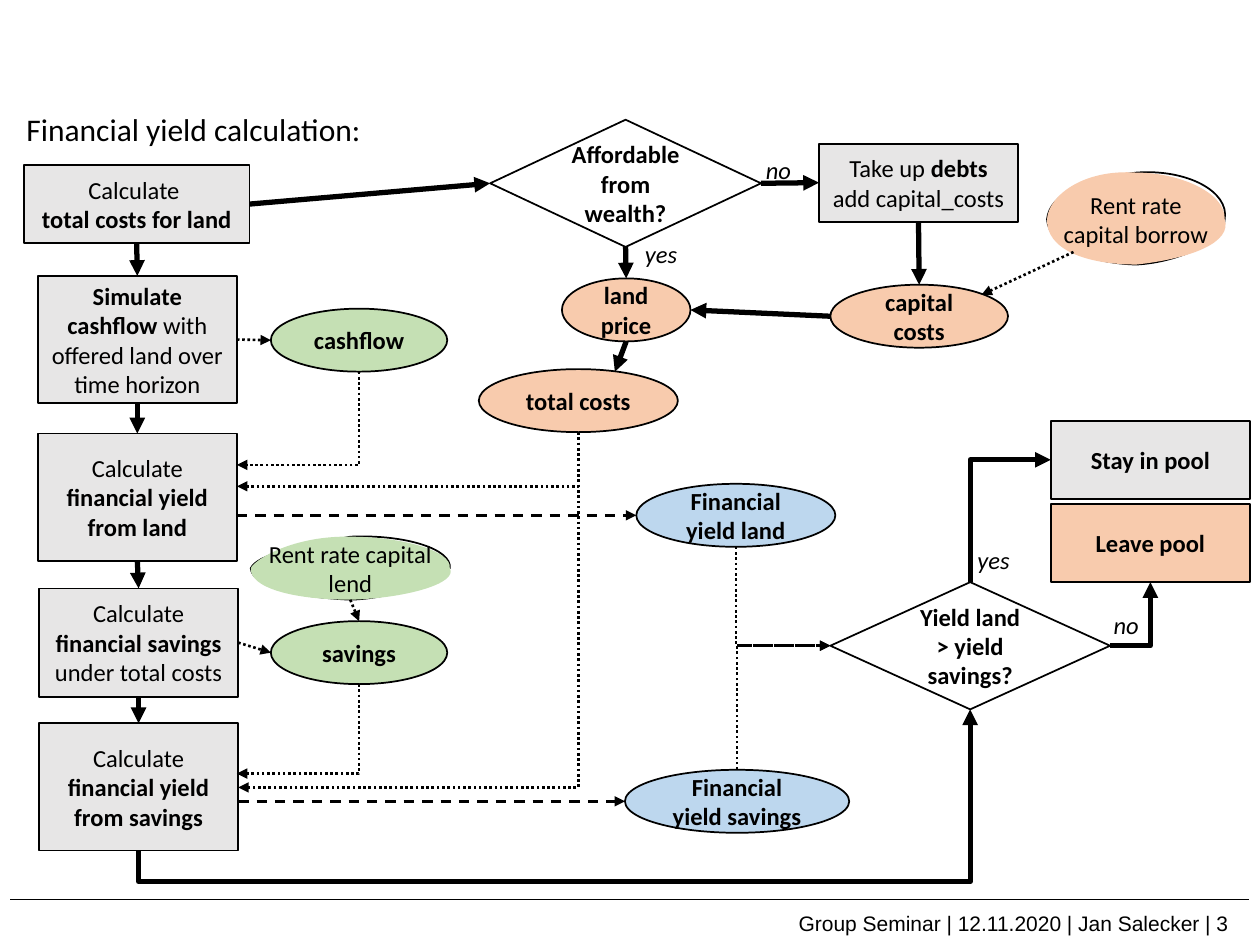
from lxml import etree
from pptx import Presentation
from pptx.dml.color import RGBColor
from pptx.enum.dml import MSO_LINE
from pptx.enum.shapes import MSO_CONNECTOR, MSO_SHAPE
from pptx.enum.text import MSO_ANCHOR, MSO_AUTO_SIZE, PP_ALIGN
from pptx.oxml.ns import qn
from pptx.util import Inches, Pt

COLORS = {"black": "000000", "white": "FFFFFF", "step": "E7E6E6",
          "cost": "F8CBAD", "gain": "C5E0B4", "yield": "BDD7EE"}
RECT, OVAL, DECISION = (MSO_SHAPE.RECTANGLE, MSO_SHAPE.OVAL,
                        MSO_SHAPE.FLOWCHART_DECISION)
DOT, DASH = MSO_LINE.ROUND_DOT, MSO_LINE.DASH


def rgb(name):
    """Look up a named colour."""
    return RGBColor.from_string(COLORS[name])


def side(shape, name):
    """Return the middle of one side of a shape, in inches."""
    fx, fy = {"l": (0, .5), "r": (1, .5), "t": (.5, 0), "b": (.5, 1)}[name]
    return ((shape.left + fx * shape.width) / Inches(1),
            (shape.top + fy * shape.height) / Inches(1))


class FlowSlide:
    """Holds the flow chart's style and its slide."""

    def __init__(self, prs):
        """Start a title-only slide."""
        self.slide = prs.slides.add_slide(prs.slide_layouts[5])
        self.shapes = self.slide.shapes

    def put_text(self, frame, text, size=14, font="Calibri", italic=False,
                 align=PP_ALIGN.CENTER):
        """Fill in one paragraph; *stars* mark bold, newlines break lines."""
        par = frame.paragraphs[0]
        par.alignment = align
        for i, part in enumerate(text.split("*")):
            for j, line in enumerate(part.split("\n")):
                if j:
                    par.add_line_break()
                if line:
                    run = par.add_run()
                    run.text = line
                    run.font.size, run.font.name = Pt(size), font
                    run.font.bold, run.font.italic = i % 2 == 1, italic
                    run.font.color.rgb = rgb("black")

    def title(self, text, x, y, w, h):
        """Place the heading in the title placeholder."""
        shape = self.shapes.title
        shape.left, shape.top, shape.width, shape.height = map(Inches, (x, y, w, h))
        shape.text_frame.word_wrap = False
        shape.text_frame.auto_size = MSO_AUTO_SIZE.NONE
        shape.text_frame.vertical_anchor = MSO_ANCHOR.TOP
        self.put_text(shape.text_frame, text, 18, align=PP_ALIGN.LEFT)

    def label(self, text, x, y, w, h, **style):
        """Add a one-line text box."""
        frame = self.shapes.add_textbox(*map(Inches, (x, y, w, h))).text_frame
        frame.word_wrap = False
        self.put_text(frame, text, align=PP_ALIGN.LEFT, **style)

    def finish(self, shape, fill, text):
        """Apply fill, outline and centred text."""
        shape.shadow.inherit = False
        shape.fill.solid()
        shape.fill.fore_color.rgb = rgb(fill)
        shape.line.color.rgb = rgb("black")
        shape.line.width = Pt(1)
        shape.text_frame.vertical_anchor = MSO_ANCHOR.MIDDLE
        self.put_text(shape.text_frame, text)
        return shape

    def node(self, kind, fill, text, x, y, w, h):
        """Add a flow chart node."""
        shape = self.shapes.add_shape(kind, *map(Inches, (x, y, w, h)))
        return self.finish(shape, fill, text)

    def sketch(self, fill, text, x, y, w, h, outline, area):
        """Add a hand-drawn oval: a curved outline over a curved area."""
        builder = self.shapes.build_freeform(Inches(x), Inches(y))
        builder.add_line_segments([(Inches(x + w), Inches(y)),
                                   (Inches(x + w), Inches(y + h)),
                                   (Inches(x), Inches(y + h))])
        shape = builder.convert_to_shape()
        paths = shape._element.spPr.find(qn("a:custGeom")).find(qn("a:pathLst"))
        paths.remove(paths[0])
        for points, hidden in ((outline, {"fill": "none"}), (area, {"stroke": "0"})):
            path = etree.SubElement(paths, qn("a:path"), w=str(Inches(w)),
                                    h=str(Inches(h)), **hidden)
            segment = etree.SubElement(path, qn("a:moveTo"))
            for i, (px, py) in enumerate(points):
                if i % 3 == 1:
                    segment = etree.SubElement(path, qn("a:cubicBezTo"))
                etree.SubElement(segment, qn("a:pt"), x=str(Inches(px - x)),
                                 y=str(Inches(py - y)))
            etree.SubElement(path, qn("a:close"))
        return self.finish(shape, fill, text)

    def line(self, start, end, width=3, dash=None, head=True,
             kind=MSO_CONNECTOR.STRAIGHT):
        """Add a straight line or arrow."""
        link = self.shapes.add_connector(kind, *map(Inches, (*start, *end)))
        link.line.color.rgb = rgb("black")
        link.line.width = Pt(width)
        if dash:
            link.line.dash_style = dash
        props = link._element.spPr
        if head:
            etree.SubElement(props.find(qn("a:ln")), qn("a:tailEnd"), type="triangle")
        etree.SubElement(props, qn("a:effectLst"))
        return link

    def elbow(self, start, end, width=1.5, dash=DOT, upright=True, bend=None):
        """Add a bent arrow; upright ones leave vertically, turned by 90 degrees."""
        if upright:
            (x1, y1), (x2, y2) = start, end
            mx, my, dx, dy = (x1 + x2) / 2, (y1 + y2) / 2, (x2 - x1) / 2, (y2 - y1) / 2
            start, end = (mx - dy, my + dx), (mx + dy, my - dx)
        link = self.line(start, end, width, dash, kind=MSO_CONNECTOR.ELBOW)
        props = link._element.spPr
        geometry = props.find(qn("a:prstGeom"))
        if upright:
            props.find(qn("a:xfrm")).set("rot", "5400000")
        if bend is None:
            geometry.set("prst", "bentConnector2")
        else:
            etree.SubElement(geometry.find(qn("a:avLst")), qn("a:gd"),
                             name="adj1", fmla=f"val {round(bend * 100000)}")


prs = Presentation()
prs.slide_width, prs.slide_height = Inches(10), Inches(7.5)
flow = FlowSlide(prs)
flow.line((0.08, 7.14), (9.91, 7.14), 0.5, head=False)
flow.label("Group Seminar | 12.11.2020 | Jan Salecker | 3", 6.24, 7.18, 3.77, 0.3,
           size=12, font="Arial")
flow.title("Financial yield calculation:", 0.11, 0.82, 2.89, 0.4)

# Steps, top to bottom
steps = [flow.node(RECT, "step", *step) for step in (
    ("Calculate \n*total costs for land*", 0.19, 1.31, 1.79, 0.62),
    ("*Simulate cashflow *with offered land over time horizon", 0.3, 2.19, 1.58, 1.01),
    ("Calculate *financial yield from land*", 0.3, 3.44, 1.58, 1.01),
    ("Calculate* financial savings *under total costs", 0.31, 4.67, 1.58, 0.86),
    ("Calculate *financial yield from savings*", 0.31, 5.74, 1.58, 1.01))]
total_step, cashflow_step, land_step, savings_step, yield_step = steps
debts = flow.node(RECT, "step", "Take up *debts\n*add capital_costs", 6.5, 1.14, 1.58, 0.62)
stay = flow.node(RECT, "step", "*Stay in pool*", 8.34, 3.34, 1.58, 0.62)
leave = flow.node(RECT, "cost", "*Leave pool*", 8.34, 4, 1.58, 0.62)

# Decisions
affordable = flow.node(DECISION, "white", "*Affordable from wealth?*", 3.89, 0.95, 2.15, 1.01)
compare = flow.node(DECISION, "white", "*Yield land > yield savings?*", 6.59, 4.62, 2.22, 1.01)

# Values
price, capital, total, cashflow, savings, land_yield, savings_yield = [
    flow.node(OVAL, fill, text, x, y, w, 0.5) for fill, text, x, y, w in (
        ("cost", "*land price*", 4.46, 2.21, 1.02),
        ("cost", "*capital costs*", 6.59, 2.26, 1.41),
        ("cost", "*total costs*", 3.8, 2.93, 1.58),
        ("gain", "*cashflow*", 2.15, 2.45, 1.4),
        ("gain", "*savings*", 2.15, 4.93, 1.4),
        ("yield", "*Financial yield land*", 5.05, 3.84, 1.58),
        ("yield", "*Financial yield savings*", 4.96, 6.11, 1.78))]
flow.sketch("cost", "Rent rate capital borrow", 8.31, 1.37, 1.41, 0.74,
            [(8.31, 1.74), (8.33, 1.54), (8.61, 1.42), (9.02, 1.37), (9.42, 1.34),
             (9.76, 1.52), (9.72, 1.74), (9.72, 1.9), (9.38, 2.08), (9.02, 2.1),
             (8.63, 2.09), (8.32, 1.94), (8.31, 1.74)],
            [(8.31, 1.74), (8.32, 1.56), (8.59, 1.34), (9.02, 1.37), (9.36, 1.37),
             (9.73, 1.53), (9.72, 1.74), (9.78, 1.92), (9.47, 2.05), (9.02, 2.1),
             (8.62, 2.1), (8.3, 1.98), (8.31, 1.74)])
flow.sketch("gain", "Rent rate capital lend", 1.99, 4.26, 1.58, 0.5,
            [(1.99, 4.51), (2.05, 4.4), (2.32, 4.35), (2.78, 4.26), (3.22, 4.24),
             (3.59, 4.36), (3.57, 4.51), (3.55, 4.54), (3.2, 4.75), (2.78, 4.76),
             (2.34, 4.74), (2, 4.65), (1.99, 4.51)],
            [(1.99, 4.51), (2.02, 4.44), (2.33, 4.25), (2.78, 4.26), (3.18, 4.26),
             (3.59, 4.37), (3.57, 4.51), (3.64, 4.63), (3.22, 4.75), (2.78, 4.76),
             (2.31, 4.76), (1.98, 4.66), (1.99, 4.51)])

# Main flow
for upper, lower in zip(steps, steps[1:]):
    flow.line(side(upper, "b"), side(lower, "t"))
for source, out, target, into in (
        (total_step, "r", affordable, "l"), (affordable, "r", debts, "l"),
        (affordable, "b", price, "t"), (debts, "b", capital, "t"),
        (capital, "l", price, "r")):
    flow.line(side(source, out), side(target, into))
flow.line(side(price, "b"), (4.88, 2.95))
flow.elbow(side(yield_step, "b"), side(compare, "b"), 3, None, bend=-0.22)
flow.elbow(side(compare, "t"), side(stay, "l"), 3, None)
flow.elbow(side(compare, "r"), side(leave, "b"), 3, None, upright=False)

# Data flow
flow.line(side(cashflow_step, "r"), side(cashflow, "l"), 1.5, DOT)
flow.line(side(savings_step, "r"), side(savings, "l"), 1.5, DOT)
flow.line((8.52, 2), (7.79, 2.34), 1.5, DOT)
flow.line((2.78, 4.76), side(savings, "t"), 1.5, DOT)
flow.line((1.88, 4.09), side(land_yield, "l"), 1.5, DASH)
flow.line((1.89, 6.36), side(savings_yield, "l"), 1.5, DASH)
for value, end in ((cashflow, (1.88, 3.69)), (total, (1.88, 3.86)),
                   (savings, (1.88, 6.14)), (total, (1.89, 6.25)),
                   (land_yield, side(compare, "l"))):
    flow.elbow(side(value, "b"), end)
flow.elbow(side(savings_yield, "t"), side(compare, "l"))

for answer, x, y in (("yes", 5.02, 1.85), ("no", 5.98, 1.18),
                     ("no", 8.74, 4.79), ("yes", 7.66, 4.28)):
    flow.label(answer, x, y, 0.46 if answer == "yes" else 0.4, 0.34, italic=True)

prs.save("out.pptx")
